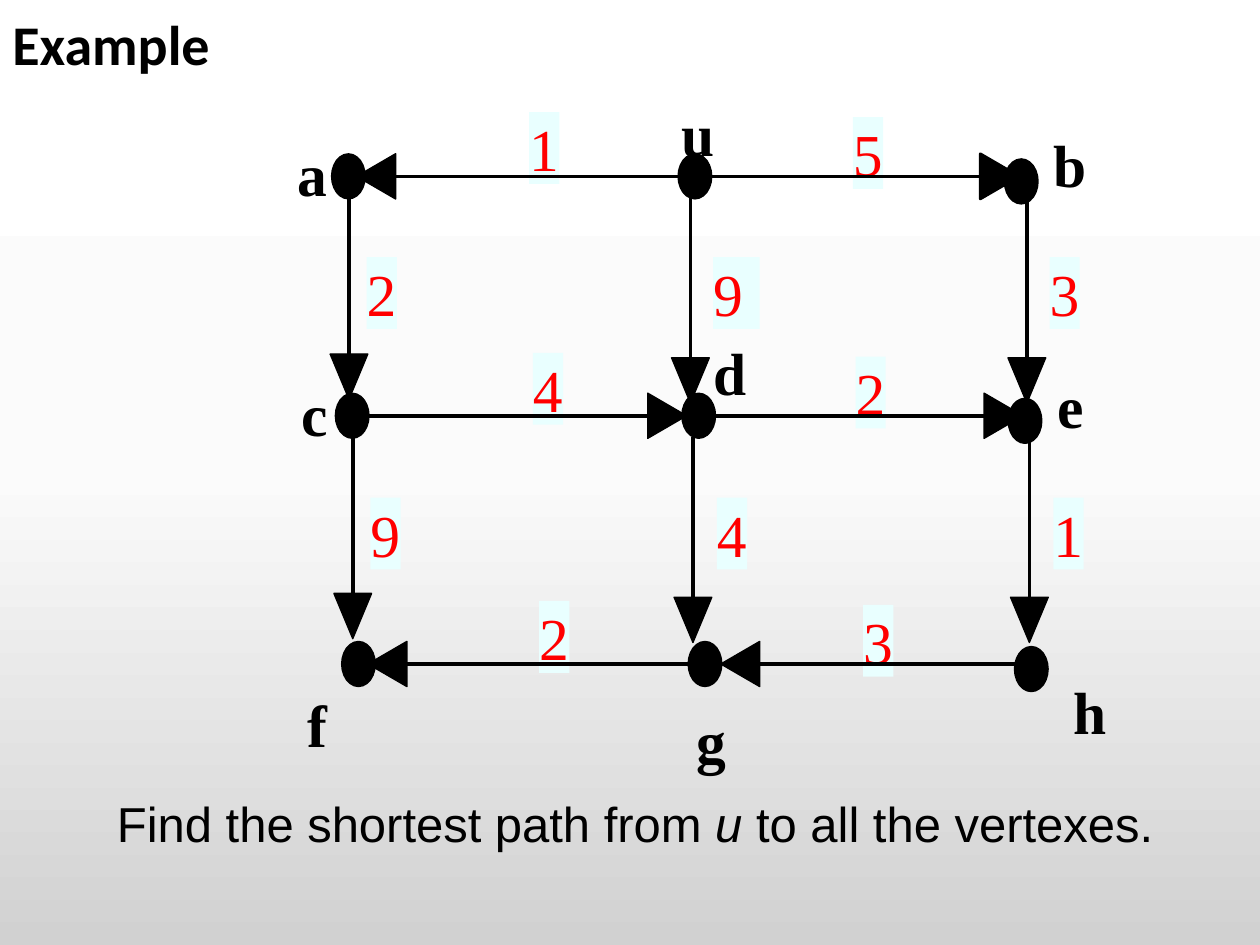
from copy import deepcopy
from typing import NamedTuple

from lxml import etree
from pptx import Presentation
from pptx import util as u
from pptx.dml.color import RGBColor
from pptx.enum import shapes, text
from pptx.oxml.ns import qn

PX = 9144  # EMU per px, 100 px to the inch
BLACK, RED, PALE = "000000", "FF0000", "E9FFFF"
SERIF = "Times New Roman"
BACKGROUND = [(0, "FFFFFF"), (0.5, "FBFBFB"), (1, "D1D1D1")]
NODE_WIDTH, NODE_HEIGHT = 25, 34


class Vertex(NamedTuple):
    name: str
    left: int
    top: int
    label_left: int
    label_top: int
    label_width: int = 24


class Weight(NamedTuple):
    value: str
    left: int
    top: int
    width: int = 24


class Edge(NamedTuple):
    tail: tuple[int, int]
    tip: tuple[int, int]
    line_width: float = 2
    head_line: float = 0.75


VERTICES = [
    Vertex("a", 264, 123, 236, 109, 22),
    Vertex("u", 539, 123, 541, 77),
    Vertex("b", 798, 127, 836, 102),
    Vertex("c", 267, 313, 239, 299, 19),
    Vertex("d", 542, 313, 566, 267),
    Vertex("e", 801, 317, 839, 293, 19),
    Vertex("f", 272, 510, 244, 546, 15),
    Vertex("g", 547, 510, 553, 559, 22),
    Vertex("h", 806, 514, 852, 536),
]
WEIGHTS = [
    Weight("1", 420, 89), Weight("5", 677, 93),
    Weight("2", 291, 204), Weight("9", 566, 204, 37), Weight("3", 833, 204),
    Weight("4", 423, 280), Weight("2", 679, 283),
    Weight("9", 294, 395), Weight("4", 569, 395), Weight("1", 836, 395),
    Weight("2", 428, 477), Weight("3", 685, 480),
]
EDGES = [
    Edge((542, 140), (283, 140)),
    Edge((564, 140), (809, 140), 1.5, 1.5),
    Edge((277, 152), (277, 317)),
    Edge((548, 156), (548, 320)),
    Edge((815, 156), (815, 320)),
    Edge((286, 330), (545, 330)),
    Edge((566, 330), (812, 330)),
    Edge((280, 343), (280, 507)),
    Edge((550, 347), (550, 510)),
    Edge((817, 347), (817, 510)),
    Edge((551, 527), (292, 527)),
    Edge((817, 527), (572, 527)),
]


def px(*lengths: int) -> list[int]:
    return [u.Emu(length * PX) for length in lengths]


def color(value: str) -> RGBColor:
    return RGBColor.from_string(value)


def paint_background(slide) -> None:
    fill = slide.background.fill
    fill.gradient()
    fill.gradient_angle = 270
    first_stop = next(slide.element.iter(qn("a:gs")))
    first_stop.addnext(deepcopy(first_stop))
    for stop, (position, value) in zip(fill.gradient_stops, BACKGROUND):
        stop.position = position
        stop.color.rgb = color(value)


def add_text(slide, runs, left: int, top: int, width: int, height: int, *,
             font: str = SERIF, size: int = 34, ink: str = BLACK,
             bold: bool = False, fill: str = "", wrap: bool = False,
             inset: tuple[int, int] = (0, 0), spacing: float = 1,
             anchor=text.MSO_ANCHOR.TOP) -> None:
    """Add a text box; runs are (words, italic) pairs, inset is (side, top)."""
    shape = slide.shapes.add_textbox(*px(left, top, width, height))
    if fill:
        shape.fill.solid()
        shape.fill.fore_color.rgb = color(fill)
    frame = shape.text_frame
    frame.word_wrap = wrap
    frame.vertical_anchor = anchor
    side, upper = px(*inset)
    frame.margin_left = frame.margin_right = side
    frame.margin_top, frame.margin_bottom = upper, 0
    paragraph = frame.paragraphs[0]
    paragraph.line_spacing = spacing
    for words, italic in runs:
        run = paragraph.add_run()
        run.text = words
        run.font.name = font
        run.font.size = u.Pt(size)
        run.font.bold = bold
        run.font.italic = italic
        run.font.color.rgb = color(ink)


def paint_black(shape, line_width: float) -> None:
    shape.shadow.inherit = False
    shape.fill.solid()
    shape.fill.fore_color.rgb = color(BLACK)
    shape.line.color.rgb = color(BLACK)
    shape.line.width = u.Pt(line_width)


def add_node(slide, vertex: Vertex) -> None:
    node = slide.shapes.add_shape(
        shapes.MSO_SHAPE.OVAL,
        *px(vertex.left, vertex.top, NODE_WIDTH, NODE_HEIGHT))
    paint_black(node, 2)


def add_edge(slide, edge: Edge) -> None:
    """Draw a line that ends at the base of a large triangular head."""
    (tail_x, tail_y), (tip_x, tip_y) = edge.tail, edge.tip
    if tail_y == tip_y:
        base_x, base_y = tip_x + (31 if tail_x > tip_x else -31), tip_y
        corners = [(base_x, base_y - 18), (base_x, base_y + 18)]
    else:
        base_x, base_y = tip_x, tip_y - 36
        corners = [(base_x - 15, base_y), (base_x + 15, base_y)]

    line = slide.shapes.add_connector(
        shapes.MSO_CONNECTOR.STRAIGHT, *px(tail_x, tail_y, base_x, base_y))
    line.line.color.rgb = color(BLACK)
    line.line.width = u.Pt(edge.line_width)
    etree.SubElement(line.element.spPr, qn("a:effectLst"))

    builder = slide.shapes.build_freeform(*edge.tip, scale=PX)
    builder.add_line_segments(corners, close=True)
    paint_black(builder.convert_to_shape(), edge.head_line)


def main() -> None:
    presentation = Presentation()
    presentation.slide_width, presentation.slide_height = px(1000, 750)
    slide = presentation.slides.add_slide(presentation.slide_layouts[6])
    paint_background(slide)

    add_text(slide, [("Example", False)], 0, 0, 850, 75, font="Calibri",
             size=32, bold=True, wrap=True, inset=(10, 0), spacing=0.9,
             anchor=text.MSO_ANCHOR.MIDDLE)
    for weight in WEIGHTS:
        add_text(slide, [(weight.value, False)], weight.left, weight.top,
                 weight.width, 57, ink=RED, fill=PALE, wrap=weight.width > 24)
    for vertex in VERTICES:
        add_node(slide, vertex)
    for edge in EDGES:
        add_edge(slide, edge)
    for vertex in VERTICES:
        add_text(slide, [(vertex.name, False)], vertex.label_left,
                 vertex.label_top, vertex.label_width, 57, bold=True)
    add_text(slide, [("Find the shortest path from ", False), ("u", True),
                     (" to all the vertexes.", False)],
             83, 625, 883, 57, font="Arial", size=28, wrap=True, inset=(10, 5))

    presentation.save("out.pptx")


if __name__ == "__main__":
    main()
